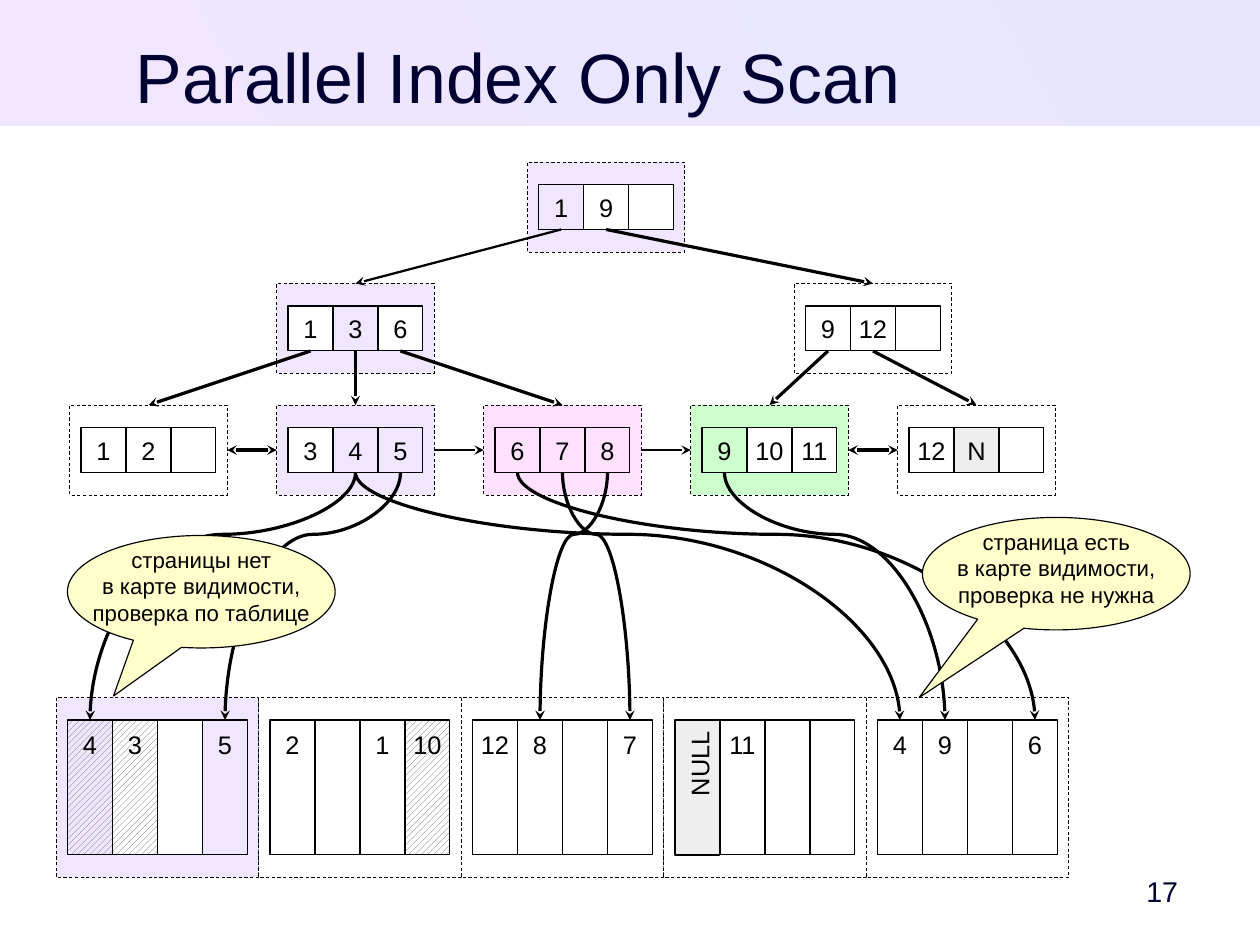
import pptx
import pptx.dml.color
import pptx.enum.dml
import pptx.enum.shapes
import pptx.enum.text
import pptx.util
from pptx.oxml.xmlchemy import OxmlElement

Cm, Pt = pptx.util.Cm, pptx.util.Pt
SHAPE = pptx.enum.shapes.MSO_SHAPE
CONNECTOR = pptx.enum.shapes.MSO_CONNECTOR
ALIGN = pptx.enum.text.PP_ALIGN
ANCHOR = pptx.enum.text.MSO_ANCHOR

COLORS = {"black": "000000", "white": "FFFFFF", "navy": "000033", "lilac": "F0E6FF",
          "blue": "E6E6FF", "pink": "FFE1FF", "green": "CCFFCC", "gray": "EEEEEE",
          "yellow": "FFFFCC", "hatch": "666666"}
TITLE = "Parallel Index Only Scan"
NUMBER = "17"

# Index pages: left, top, page colour, labels, cell colours
INDEX = {
    "root": (11.72, 3.6, "lilac", ["1", "9", ""], ["lilac", "white", "white"]),
    "inner 1": (6.15, 6.3, "lilac", ["1", "3", "6"], ["white", "lilac", "white"]),
    "inner 2": (17.65, 6.3, "white", ["9", "12", ""], ["white"] * 3),
    "leaf 1": (1.55, 9, "white", ["1", "2", ""], ["white"] * 3),
    "leaf 2": (6.15, 9, "lilac", ["3", "4", "5"], ["white", "lilac", "lilac"]),
    "leaf 3": (10.75, 9, "pink", ["6", "7", "8"], ["pink"] * 3),
    "leaf 4": (15.35, 9, "green", ["9", "10", "11"], ["green", "white", "white"]),
    "leaf 5": (19.95, 9, "white", ["12", "N", ""], ["white", "gray", "white"]),
}
# Table pages: page colour, labels, cell colours, hatched cells
HEAP = [
    ("lilac", ["4", "3", "", "5"], ["lilac", "white", "white", "lilac"], [0, 1]),
    ("white", ["2", "", "1", "10"], ["white"] * 4, [3]),
    ("white", ["12", "8", "", "7"], ["white"] * 4, []),
    ("white", ["NULL", "11", "", ""], ["gray", "white", "white", "white"], []),
    ("white", ["4", "9", "", "6"], ["white"] * 4, []),
]
# Parent page, cell, child page, line width
DESCENTS = [("root", 0, "inner 1", 1.42), ("root", 1, "inner 2", 0),
            ("inner 1", 0, "leaf 1", 0), ("inner 1", 1, "leaf 2", 1.42),
            ("inner 1", 2, "leaf 3", 0), ("inner 2", 0, "leaf 4", 0),
            ("inner 2", 1, "leaf 5", 0)]
# Left leaf, right leaf, line width, arrow at both ends
SIBLINGS = [("leaf 1", "leaf 2", 0, True), ("leaf 2", "leaf 3", 1.42, False),
            ("leaf 3", "leaf 4", 1.42, False), ("leaf 4", "leaf 5", 0, True)]
# Leaf, cell, table page, table cell
ROW_LINKS = [("leaf 2", 1, 4, 0), ("leaf 2", 2, 0, 3), ("leaf 3", 0, 4, 3),
             ("leaf 3", 1, 2, 3), ("leaf 3", 2, 2, 1), ("leaf 4", 0, 4, 1),
             ("leaf 2", 1, 0, 0)]
# Left, top, pointer, text
CALLOUTS = [
    (20.5, 11.5, (-0.513, 1.102), "страница есть\nв карте видимости,\nпроверка не нужна"),
    (1.5, 11.9, (-0.328, 0.927), "страницы нет\nв карте видимости,\nпроверка по таблице"),
]

deck = pptx.Presentation()
deck.slide_width, deck.slide_height = Cm(28), Cm(21)
slide = deck.slides.add_slide(deck.slide_layouts[6])


def rgb(name):
    return pptx.dml.color.RGBColor.from_string(COLORS[name])


def write(shape, text, size, color="black", align=ALIGN.CENTER, anchor=ANCHOR.MIDDLE,
          insets=(0.25, 0.13, 0.25, 0.13)):
    frame = shape.text_frame
    frame.text = text
    frame.word_wrap = False
    frame.vertical_anchor = anchor
    (frame.margin_left, frame.margin_top,
     frame.margin_right, frame.margin_bottom) = map(Cm, insets)
    for para in frame.paragraphs:
        para.alignment = align
        for span in para.runs:
            span.font.name, span.font.size = "Arial", Pt(size)
            span.font.color.rgb = rgb(color)


def add_box(left, top, width, height, fill, kind=SHAPE.RECTANGLE):
    box = slide.shapes.add_shape(kind, Cm(left), Cm(top), Cm(width), Cm(height))
    box.shadow.inherit = False
    box.fill.solid()
    box.fill.fore_color.rgb = rgb(fill)
    box.line.color.rgb = rgb("black")
    box.line.width = 0
    return box


def add_page(left, top, width, height, fill):
    page = add_box(left, top, width, height, fill)
    page.line.width = Pt(0.5)
    page.line.dash_style = pptx.enum.dml.MSO_LINE.DASH
    return page


def style_arrow(arrow, width, both=False):
    arrow.line.color.rgb = rgb("black")
    arrow.line.width = Pt(width)
    for tag in (["a:headEnd"] if both else []) + ["a:tailEnd"]:
        end = OxmlElement(tag)
        end.set("type", "stealth")
        arrow.line._get_or_add_ln().append(end)
    arrow._element.spPr.append(OxmlElement("a:effectLst"))


def join(start, start_side, finish, finish_side, width, both=False):
    arrow = slide.shapes.add_connector(CONNECTOR.STRAIGHT, 0, 0, 0, 0)
    arrow.begin_connect(start, start_side)
    arrow.end_connect(finish, finish_side)
    style_arrow(arrow, width, both)


def curve_down(x1, y1, x2, y2):
    # A sideways curve turned upright, bending a quarter of the way down
    middle_x, middle_y = (x1 + x2) / 2, (y1 + y2) / 2
    half_length, half_span = (y2 - y1) / 2, abs(x2 - x1) / 2
    if x2 > x1:
        turn, half_length = 270, -half_length
    else:
        turn = 90
    arrow = slide.shapes.add_connector(
        CONNECTOR.CURVE, Cm(middle_x - half_length), Cm(middle_y - half_span),
        Cm(middle_x + half_length), Cm(middle_y + half_span))
    properties = arrow._element.spPr
    properties.xfrm.set("rot", str(turn * 60000))
    guide = OxmlElement("a:gd")
    guide.set("name", "adj1")
    guide.set("fmla", "val 25000")
    properties.prstGeom.get_or_add_avLst().append(guide)
    style_arrow(arrow, 0)


# Header band, title and slide number
band = add_box(0, 0, 28, 2.8, "blue")
band.line.fill.background()
band.fill.gradient()
band.fill.gradient_angle = 210
for stop, color in zip(band.fill.gradient_stops, ("blue", "lilac")):
    stop.color.rgb = rgb(color)
title = slide.shapes.add_textbox(Cm(1.2), Cm(0.74), Cm(20.65), Cm(1.73))
write(title, TITLE, 44, "navy", anchor=ANCHOR.TOP, insets=(0, 0, 0, 0))
title.text_frame.word_wrap = True
number = slide.shapes.add_textbox(Cm(24.58), Cm(19.2), Cm(1.6), Cm(1.2))
write(number, NUMBER, 18, "navy", ALIGN.RIGHT, insets=(0, 0.13, 0, 0.13))
number.text_frame.word_wrap = True

# Table pages
for i, (fill, labels, cell_fills, hatched) in enumerate(HEAP):
    left = 1.25 + 4.5 * i
    add_page(left, 15.5, 4.5, 4, fill)
    for j, (label, cell_fill) in enumerate(zip(labels, cell_fills)):
        x = left + 0.25 + j
        sideways = label == "NULL"
        if sideways:
            cell = add_box(x - 1, 17, 3, 1, cell_fill)
            cell.rotation = 270
        else:
            cell = add_box(x, 16, 1, 3, cell_fill)
        if j in hatched:
            cell.fill.patterned()
            cell.fill.pattern = pptx.enum.dml.MSO_PATTERN.WIDE_UPWARD_DIAGONAL
            cell.fill.fore_color.rgb = rgb("hatch")
            cell.fill.back_color.rgb = rgb(cell_fill)
        if label:
            write(cell, label, 16, align=ALIGN.RIGHT if sideways else ALIGN.CENTER,
                  anchor=ANCHOR.TOP, insets=(0.25, 0.2, 0.25, 0.13))

# Index pages
pages, cells = {}, {}
for name, (left, top, fill, labels, cell_fills) in INDEX.items():
    pages[name] = add_page(left, top, 3.5, 2, fill)
    for j, (label, cell_fill) in enumerate(zip(labels, cell_fills)):
        cells[name, j] = add_box(left + 0.25 + j, top + 0.5, 1, 1, cell_fill)
        if label:
            write(cells[name, j], label, 16)

# Arrows within the index, then from leaves to table rows
for parent, j, child, width in DESCENTS:
    join(cells[parent, j], 2, pages[child], 0, width)
for before, after, width, both in SIBLINGS:
    join(pages[before], 3, pages[after], 1, width, both)
for leaf, j, i, row in ROW_LINKS:
    left, top = INDEX[leaf][:2]
    curve_down(left + 0.75 + j, top + 1.5, 2 + 4.5 * i + row, 16)

# Callouts
for left, top, pointer, text in CALLOUTS:
    callout = add_box(left, top, 5.95, 2.5, "yellow", SHAPE.OVAL_CALLOUT)
    callout.adjustments[0], callout.adjustments[1] = pointer
    write(callout, text, 14, insets=(0.25, 0.13, 0.25, 0.38))

deck.save("out.pptx")
